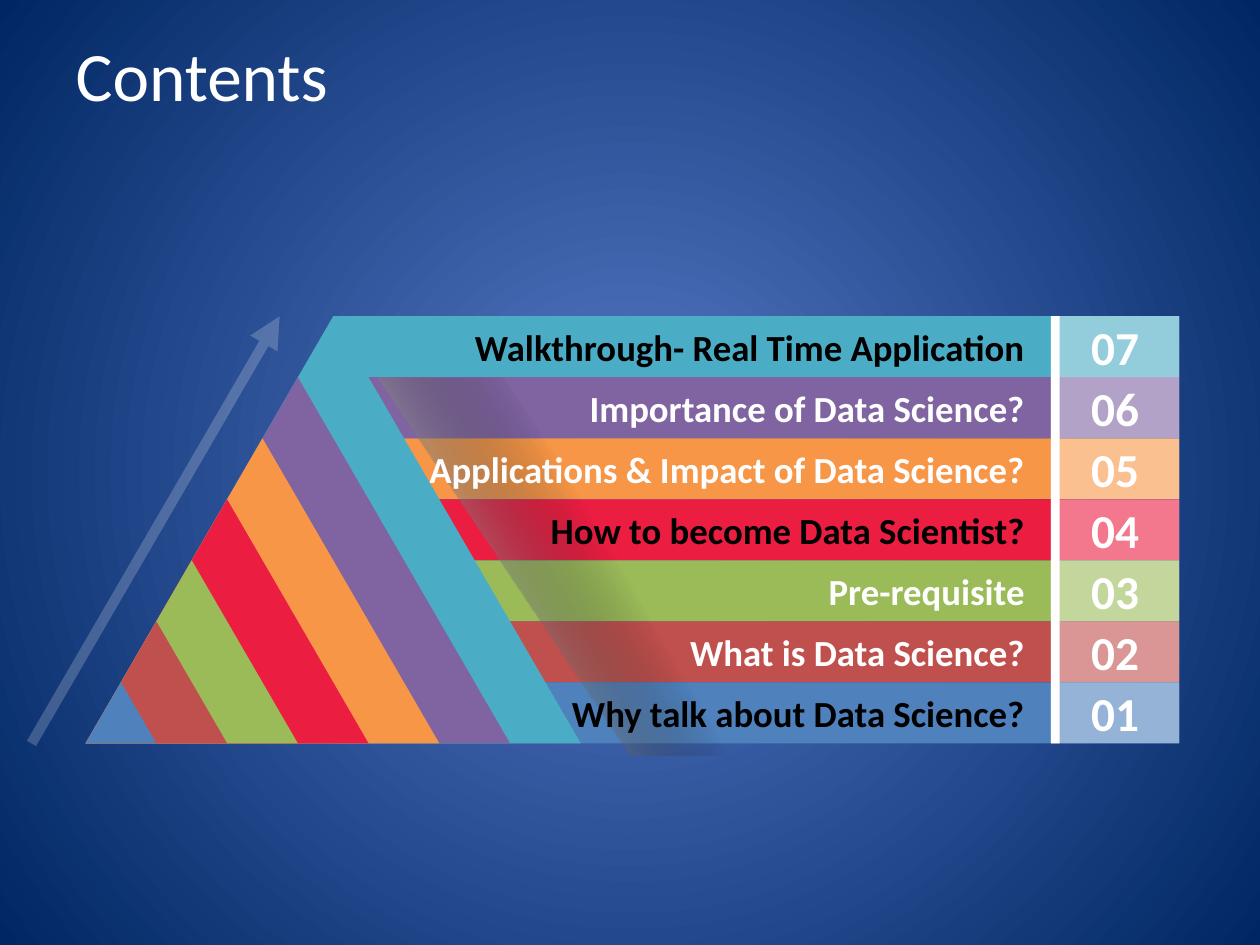
from dataclasses import dataclass

from lxml import etree
from pptx import Presentation
from pptx import util as u
from pptx.dml.color import RGBColor
from pptx.enum import shapes, text
from pptx.oxml import ns

TITLE = "Contents"
TOPICS = [
    ("07", "Walkthrough- Real Time Application", "4BACC6", "000000", 5.23),
    ("06", "Importance of Data Science?", "8064A2", "FEFEFE", 3.69),
    ("05", "Applications & Impact of Data Science?", "F79646", "FEFEFE", 4.97),
    ("04", "How to become Data Scientist?", "EB1E42", "000000", 4),
    ("03", "Pre-requisite", "9BBB59", "FEFEFE", 1.84),
    ("02", "What is Data Science?", "C0504D", "FEFEFE", 2.88),
    ("01", "Why talk about Data Science?", "4F81BD", "000000", 3.82),
]


@dataclass(frozen=True)
class Theme:
    font: str = "Calibri"
    white: str = "FFFFFF"
    divider: str = "FEFEFE"
    title_size: float = 39.6
    number_size: float = 27
    label_size: float = 21
    backdrop: tuple = ((0, "5779C7", 100), (100, "002763", 100))
    shade: tuple = ((0, "000000", 100), (15, "FFFFFF", 100),
                    (59, "000000", 0), (100, "FFFFFF", 0))


THEME = Theme()
WIDTH, HEIGHT = 10, 7.5
TOP, BOTTOM = 2.51, 5.9
ROW = (BOTTOM - TOP) / len(TOPICS)
BASE_LEFT, BASE_WIDTH = 0.68, 3.93
APEX = BASE_LEFT + BASE_WIDTH / 2
BAND_RIGHT, NUMBER_LEFT, LABEL_RIGHT = 9.36, 8.34, 8.23
LABEL_HEIGHT, DIVIDER_WIDTH, SHADE_WIDTH = 0.45, 0.07, 1.68


def inches(*values):
    return [u.Inches(value) for value in values]


def add_alpha(element, percent):
    for color in element.iter(ns.qn("a:srgbClr")):
        etree.SubElement(color, ns.qn("a:alpha"), val=str(percent * 1000))


def apply_gradient(properties, stops, angle=None):
    gradient = etree.Element(ns.qn("a:gradFill"), rotWithShape="1")
    stop_list = etree.SubElement(gradient, ns.qn("a:gsLst"))
    for position, color, alpha in stops:
        stop = etree.SubElement(stop_list, ns.qn("a:gs"), pos=str(position * 1000))
        etree.SubElement(stop, ns.qn("a:srgbClr"), val=color)
        add_alpha(stop, alpha)
    if angle is None:
        path = etree.SubElement(gradient, ns.qn("a:path"), path="circle")
        sides = dict.fromkeys("ltrb", "50000")
        etree.SubElement(path, ns.qn("a:fillToRect"), **sides)
    else:
        etree.SubElement(gradient, ns.qn("a:lin"), ang=str(angle * 60000), scaled="0")
    solid = properties.find(ns.qn("a:solidFill"))
    properties.replace(solid, gradient)


def paint(shape, color):
    shape.shadow.inherit = False
    shape.fill.solid()
    shape.fill.fore_color.rgb = RGBColor.from_string(color)
    shape.line.fill.background()


def add_block(slide, kind, box, color):
    shape = slide.shapes.add_shape(kind, *inches(*box))
    paint(shape, color)
    return shape


def write(shape, content, size, color, alignment, bold=True):
    frame = shape.text_frame
    frame.text = content
    frame.word_wrap = True
    frame.vertical_anchor = text.MSO_ANCHOR.MIDDLE
    paragraph = frame.paragraphs[0]
    paragraph.alignment = alignment
    font = paragraph.runs[0].font
    font.name, font.size, font.bold = THEME.font, u.Pt(size), bold
    font.color.rgb = RGBColor.from_string(color)
    return paragraph


def add_shade(slide):
    lean = BASE_WIDTH / 2
    builder = slide.shapes.build_freeform(APEX, TOP, scale=u.Inches(1))
    builder.add_line_segments([
        (APEX + SHADE_WIDTH, TOP),
        (APEX + SHADE_WIDTH + lean, BOTTOM),
        (APEX + lean, BOTTOM),
    ])
    shade = builder.convert_to_shape()
    paint(shade, THEME.white)
    apply_gradient(shade.element.spPr, THEME.shade, 330)


def add_arrow(slide):
    arrow = slide.shapes.add_connector(
        shapes.MSO_CONNECTOR.STRAIGHT, *inches(0.25, BOTTOM, 2.22, TOP))
    arrow.line.width = u.Pt(6)
    arrow.line.color.rgb = RGBColor.from_string(THEME.white)
    properties = arrow.element.spPr
    add_alpha(properties, 20)
    etree.SubElement(properties.find(ns.qn("a:ln")), ns.qn("a:tailEnd"), type="triangle")
    etree.SubElement(properties, ns.qn("a:effectLst"))


def main():
    presentation = Presentation()
    presentation.slide_width, presentation.slide_height = inches(WIDTH, HEIGHT)
    slide = presentation.slides.add_slide(presentation.slide_layouts[5])
    slide.background.fill.solid()
    apply_gradient(slide.element.xpath("p:cSld/p:bg/p:bgPr")[0], THEME.backdrop)

    title = slide.shapes.title
    title.left, title.top, title.width, title.height = inches(0.5, 0.3, 9, 0.7)
    heading = write(title, TITLE, THEME.title_size, THEME.white,
                    text.PP_ALIGN.LEFT, bold=False)
    heading.line_spacing = 0.8
    title.text_frame.auto_size = text.MSO_AUTO_SIZE.NONE

    rectangle = shapes.MSO_SHAPE.RECTANGLE
    rows = [(TOP + index * ROW, *topic) for index, topic in enumerate(TOPICS)]
    for top, _, _, color, _, _ in rows:
        add_block(slide, rectangle, (APEX, top, BAND_RIGHT - APEX, ROW), color)
    add_shade(slide)
    for top, number, label, _, label_color, label_width in rows:
        tile = add_block(slide, rectangle,
                         (NUMBER_LEFT, top, BAND_RIGHT - NUMBER_LEFT, ROW), THEME.white)
        add_alpha(tile.element.spPr, 40)
        write(tile, number, THEME.number_size, THEME.white, text.PP_ALIGN.CENTER)
        box = slide.shapes.add_textbox(*inches(
            LABEL_RIGHT - label_width, top + (ROW - LABEL_HEIGHT) / 2,
            label_width, LABEL_HEIGHT))
        write(box, label, THEME.label_size, label_color, text.PP_ALIGN.RIGHT)
    add_block(slide, rectangle,
              (NUMBER_LEFT, TOP, DIVIDER_WIDTH, BOTTOM - TOP), THEME.divider)
    add_arrow(slide)
    for top, _, _, color, _, _ in rows:
        share = (BOTTOM - top) / (BOTTOM - TOP)
        add_block(slide, shapes.MSO_SHAPE.ISOSCELES_TRIANGLE,
                  (BASE_LEFT, top, BASE_WIDTH * share, BOTTOM - top), color)
    presentation.save("out.pptx")


if __name__ == "__main__":
    main()
